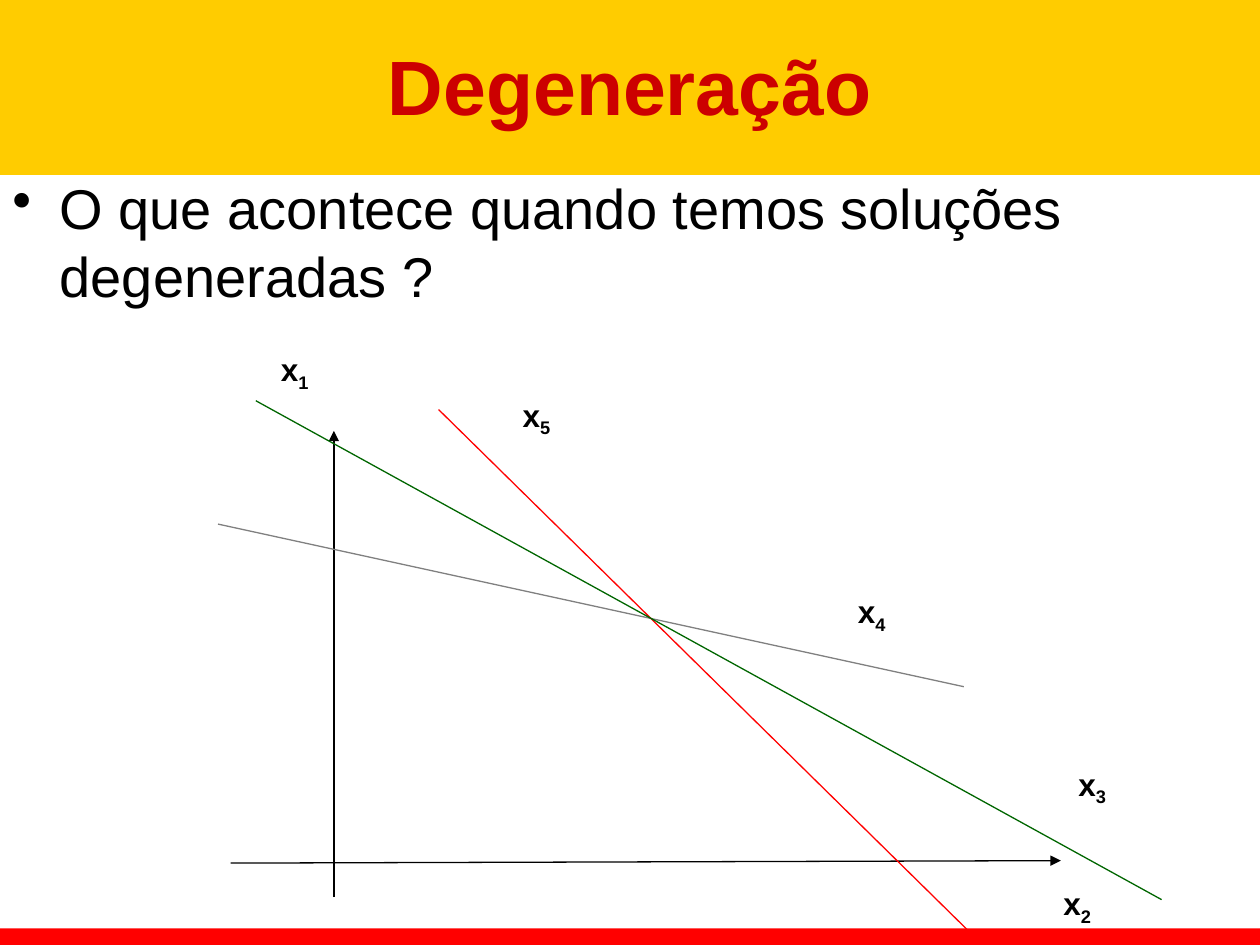
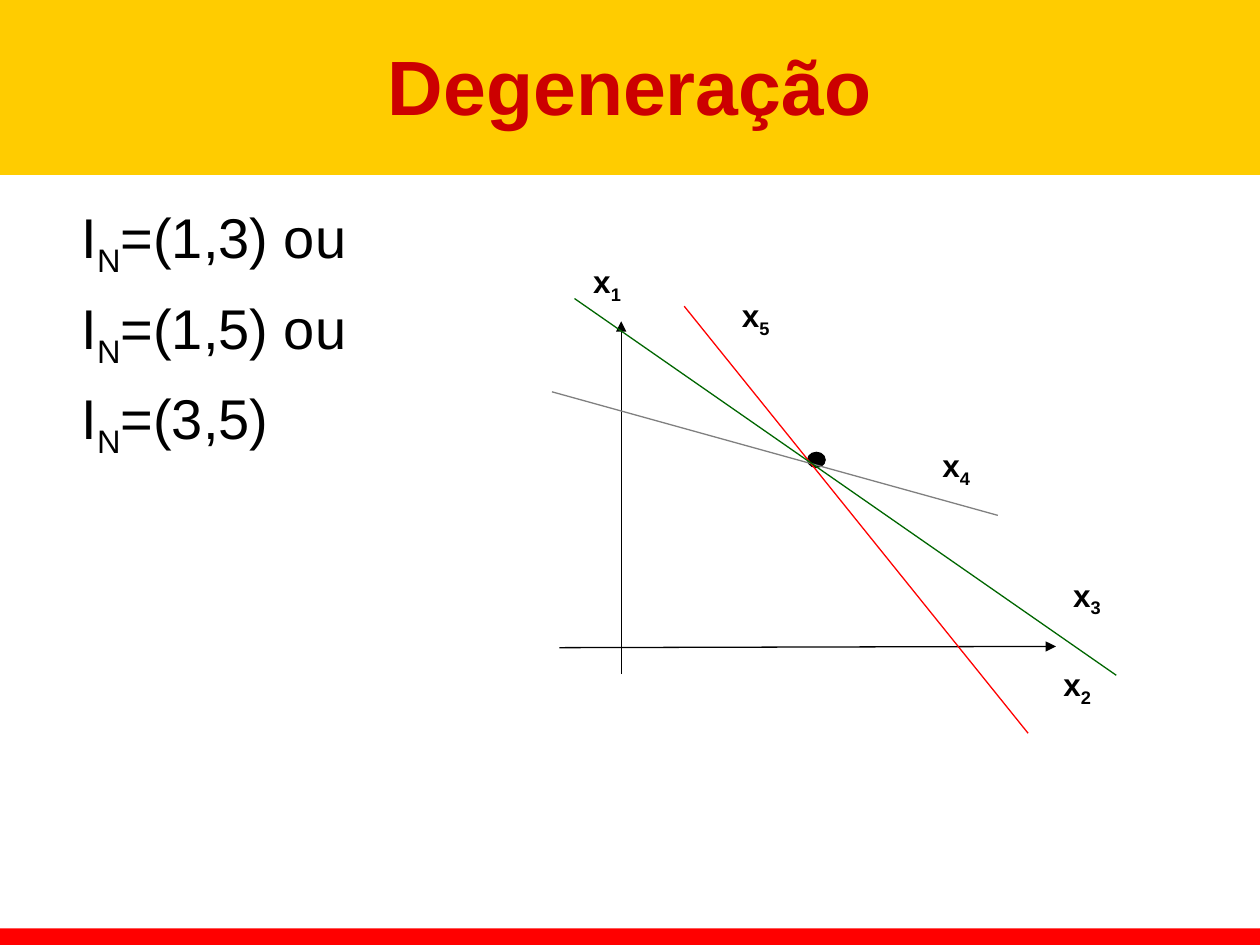
from lxml.etree import SubElement
from pptx import Presentation
from pptx.dml.color import RGBColor
from pptx.enum.shapes import MSO_CONNECTOR, MSO_SHAPE
from pptx.enum.text import MSO_ANCHOR, PP_ALIGN
from pptx.oxml.ns import qn
from pptx.util import Pt

FONT = "Arial"
WIDE, HIGH = 720, 540
COLORS = {"band": "FFCC00", "foot": "FF0000", "title": "CC0000",
          "ink": "000000", "gray": "808080", "red": "FF0000", "green": "006600"}

# Each line: color, start, end, arrow at the end
PAGES = [
    {
        "body": (0, 95.8), "bullet": True,
        "text": [["O que acontece quando temos soluções degeneradas ?"]],
        "lines": [
            ("ink", (190.8, 512.6), (190.8, 246.2), True),
            ("ink", (131.8, 493.2), (606.2, 491.8), True),
            ("gray", (124.6, 299.5), (550.8, 392.4), False),
            ("red", (250.6, 234), (561.6, 540), False),
            ("green", (146.2, 229), (663.8, 514.1), False),
        ],
        "labels": {"1": (153.4, 196.6), "2": (600.5, 501.8), "5": (291.6, 222.5),
                   "3": (609.1, 433.4), "4": (483.1, 334.8)},
    },
    {
        "body": (39.6, 112.3), "bullet": False,
        "text": [["I", "N", "=(1,3) ou"], ["I", "N", "=(1,5) ou"], ["I", "N", "=(3,5)"]],
        "vertex": (461.5, 258.5, 10, 8.6),
        "lines": [
            ("ink", (355, 385.2), (355, 183.6), True),
            ("ink", (319.7, 370.1), (603.4, 369.4), True),
            ("gray", (315.4, 223.9), (570.2, 294.5), False),
            ("red", (391, 175), (587.5, 419), False),
            ("green", (328.3, 170.6), (637.9, 385.9), False),
        ],
        "labels": {"1": (331.9, 146.2), "2": (600.5, 376.6), "5": (416.9, 165.6),
                   "3": (606.2, 325.4), "4": (531.4, 251.3)},
    },
]


def add_box(slide, box, paras, size, color="ink", bold=False):
    """Add a text box; the second run of a paragraph is a subscript."""
    frame = slide.shapes.add_textbox(*map(Pt, box)).text_frame
    for i, parts in enumerate(paras):
        para = frame.paragraphs[0] if i == 0 else frame.add_paragraph()
        for j, part in enumerate(parts):
            run = para.add_run()
            run.text = part
            run.font.name, run.font.size, run.font.bold = FONT, Pt(size), bold
            run.font.color.rgb = RGBColor.from_string(COLORS[color])
            if j == 1:
                run.font._element.set("baseline", "-25000")
    return frame


def add_solid(slide, kind, box, color):
    shape = slide.shapes.add_shape(kind, *map(Pt, box))
    shape.shadow.inherit = False
    shape.fill.solid()
    shape.fill.fore_color.rgb = RGBColor.from_string(COLORS[color])
    shape.line.fill.background()
    return shape


deck = Presentation()
deck.slide_width, deck.slide_height = Pt(WIDE), Pt(HIGH)

for page in PAGES:
    slide = deck.slides.add_slide(deck.slide_layouts[6])

    # Bands and title
    add_solid(slide, MSO_SHAPE.RECTANGLE, (0, 0, WIDE, 100), "band")
    add_solid(slide, MSO_SHAPE.RECTANGLE, (0, 530.6, WIDE, 9.4), "foot")
    title = add_box(slide, (36, 3.6, 648, 90), [["Degeneração"]], 44, "title", True)
    title.word_wrap = True
    title.vertical_anchor = MSO_ANCHOR.MIDDLE
    title.paragraphs[0].alignment = PP_ALIGN.CENTER

    # Body text with hanging indent
    body = add_box(slide, (*page["body"], 648, 356.4), page["text"], 32)
    body.word_wrap = True
    for i, para in enumerate(body.paragraphs):
        if i:
            para.space_before = Pt(8)
        props = para._p.get_or_add_pPr()
        props.set("marL", str(Pt(27)))
        props.set("indent", str(Pt(-27)))
        if page["bullet"]:
            SubElement(props, qn("a:buChar")).set("char", "•")
        else:
            SubElement(props, qn("a:buNone"))

    # Vertex where the constraints meet
    if "vertex" in page:
        dot = add_solid(slide, MSO_SHAPE.OVAL, page["vertex"], "ink")
        dot.line.color.rgb = RGBColor.from_string(COLORS["ink"])
        dot.line.width = Pt(0.75)

    # Axes and constraints
    for color, start, end, arrow in page["lines"]:
        line = slide.shapes.add_connector(MSO_CONNECTOR.STRAIGHT, *map(Pt, start + end))
        line.line.color.rgb = RGBColor.from_string(COLORS[color])
        line.line.width = Pt(0.75)
        if arrow:
            SubElement(line.line._get_or_add_ln(), qn("a:tailEnd")).set("type", "triangle")
        SubElement(line._element.spPr, qn("a:effectLst"))

    # Variable names
    for index, spot in page["labels"].items():
        label = add_box(slide, (*spot, 30.2, 31.7), [["x", index]], 18, bold=True)
        label.word_wrap = False

deck.save("out.pptx")
